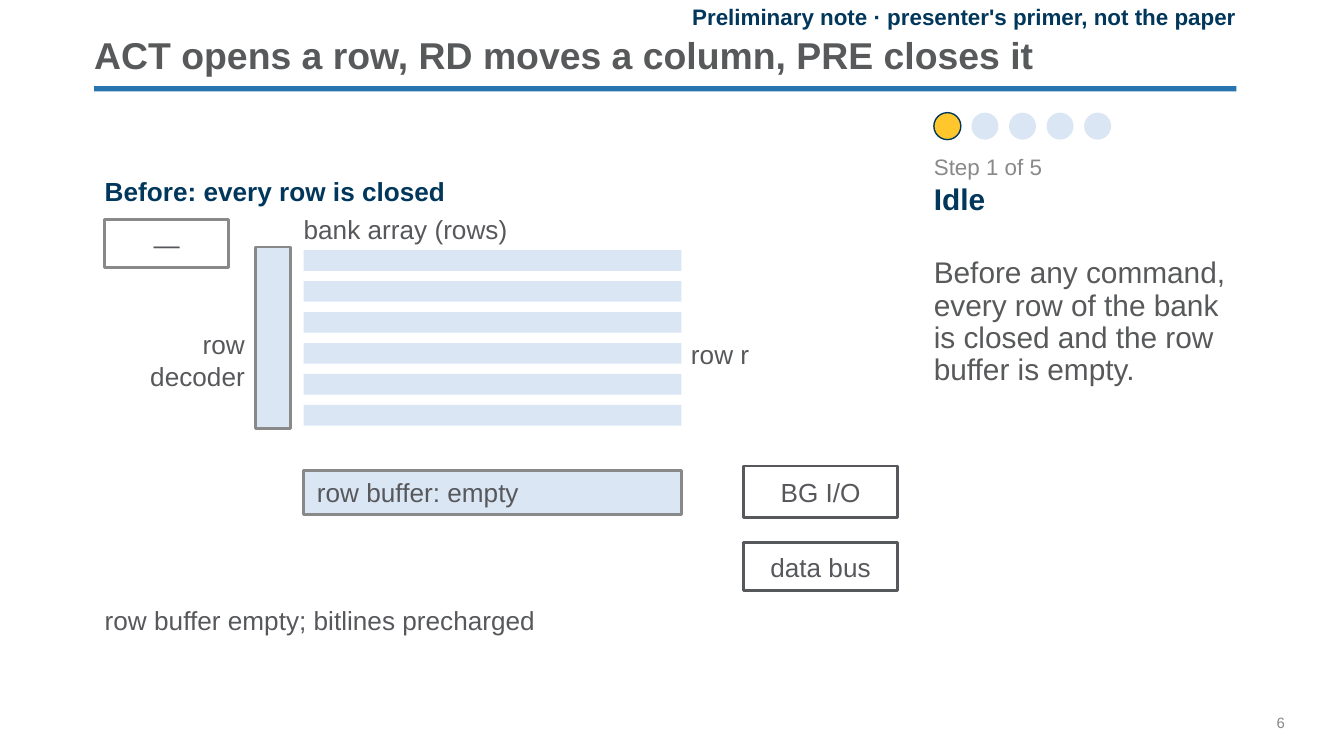
"""Builds the slide on how a memory bank row is opened, read and closed."""
from pptx import Presentation
from pptx.dml.color import RGBColor
from pptx.enum.shapes import MSO_SHAPE
from pptx.enum.text import MSO_ANCHOR, MSO_AUTO_SIZE, PP_ALIGN
from pptx.util import Cm, Pt

RECTANGLE, OVAL = MSO_SHAPE.RECTANGLE, MSO_SHAPE.OVAL
LEFT, CENTER, RIGHT = PP_ALIGN.LEFT, PP_ALIGN.CENTER, PP_ALIGN.RIGHT
TOP, MIDDLE, BOTTOM = MSO_ANCHOR.TOP, MSO_ANCHOR.MIDDLE, MSO_ANCHOR.BOTTOM
NO_AUTO_SIZE = MSO_AUTO_SIZE.NONE

COLORS = {
    "title": "58595B",
    "text": "57585B",
    "navy": "00375B",
    "blue": "2774AE",
    "pale": "DAE6F4",
    "gold": "FFC72B",
    "gray": "898989",
    "white": "FFFFFF",
}


def color(name):
    return RGBColor.from_string(COLORS[name])


def write(frame, text, size=14, ink="text", bold=False, align=LEFT,
          anchor=MIDDLE, spacing=None, inset=0, more=False):
    frame.word_wrap = True
    frame.auto_size = NO_AUTO_SIZE
    frame.vertical_anchor = anchor
    frame.margin_left = Cm(inset)
    frame.margin_right = frame.margin_top = frame.margin_bottom = 0
    for index, line in enumerate(text.split("\n")):
        first = index == 0 and not more
        paragraph = frame.paragraphs[0] if first else frame.add_paragraph()
        paragraph.alignment = align
        paragraph.space_before = Pt(0)
        if spacing:
            paragraph.line_spacing = spacing
        run = paragraph.add_run()
        run.text = line
        run.font.name = "Arial"
        run.font.size = Pt(size)
        run.font.bold = bold
        run.font.color.rgb = color(ink)


class SlideBuilder:
    """Holds the style and the current slide."""

    def __init__(self, presentation):
        self.slide = presentation.slides.add_slide(presentation.slide_layouts[5])
        self.line_width = 1.5

    def title(self, text, left, top, width, height):
        title = self.slide.shapes.title
        title.left, title.top = Cm(left), Cm(top)
        title.width, title.height = Cm(width), Cm(height)
        write(title.text_frame, text, size=20, ink="title", bold=True,
              anchor=BOTTOM, spacing=0.9)

    def label(self, text, left, top, width, height=0.74, **text_format):
        box = self.slide.shapes.add_textbox(Cm(left), Cm(top), Cm(width), Cm(height))
        write(box.text_frame, text, **text_format)
        return box.text_frame

    def shape(self, left, top, width, height, fill="pale", line=None,
              line_width=None, kind=RECTANGLE):
        shape = self.slide.shapes.add_shape(
            kind, Cm(left), Cm(top), Cm(width), Cm(height))
        shape.shadow.inherit = False
        shape.fill.solid()
        shape.fill.fore_color.rgb = color(fill)
        if line:
            shape.line.color.rgb = color(line)
            shape.line.width = Pt(line_width or self.line_width)
        else:
            shape.line.fill.background()
        return shape

    def box(self, text, left, top, width, height, fill="white", line="text",
            **text_format):
        shape = self.shape(left, top, width, height, fill, line)
        write(shape.text_frame, text, **text_format)

    def step_dots(self, left, top, count, current):
        for index in range(count):
            active = index == current
            self.shape(left + 0.71 * index, top, 0.51, 0.51,
                       fill="gold" if active else "pale",
                       line="navy" if active else None,
                       line_width=0.75, kind=OVAL)

    def bank_rows(self, left, top, width, height, count):
        for index in range(count):
            self.shape(left, top + 1.5 * height * index, width, height)


def main():
    presentation = Presentation()
    presentation.slide_width = Cm(25.4)
    presentation.slide_height = Cm(14.29)
    builder = SlideBuilder(presentation)

    margin, content_width = 1.78, 21.59
    builder.shape(margin, 1.63, content_width, 0.1, fill="blue")
    builder.label("Preliminary note · presenter's primer, not the paper",
                  10.67, 0.1, 12.7, 0.43, size=12, ink="navy", bold=True, align=RIGHT)
    builder.title("ACT opens a row, RD moves a column, PRE closes it",
                  margin, 0.56, content_width, 0.91)

    side_left, side_width = 17.65, 5.72
    builder.step_dots(side_left, 2.13, count=5, current=0)
    step = builder.label("Step 1 of 5", side_left, 2.9, side_width, 1.83,
                         size=12, ink="gray", anchor=TOP)
    write(step, "Idle", size=16, ink="navy", bold=True, anchor=TOP, more=True)
    builder.label("Before any command, every row of the bank is closed "
                  "and the row buffer is empty.", side_left, 4.88, side_width, 8.33,
                  size=16, ink="title", anchor=TOP, spacing=0.9)

    diagram_left, bank_left, bank_width = 1.98, 5.74, 7.14
    builder.label("Before: every row is closed", diagram_left, 3.25, 7.9,
                  ink="navy", bold=True)
    builder.box("—", diagram_left, 4.15, 2.34, 0.91, line="gray", align=CENTER)
    builder.label("row\ndecoder", 2.36, 6.15, 2.27, 1.32, align=RIGHT)
    builder.shape(4.83, 4.67, 0.66, 3.43, line="gray")
    builder.label("bank array (rows)", bank_left, 3.96, 5.08)
    builder.bank_rows(bank_left, 4.73, bank_width, 0.39, count=6)
    builder.label("row r", 13.06, 6.32, 1.7)
    builder.box("row buffer: empty", bank_left, 8.89, bank_width, 0.84,
                fill="pale", line="gray", inset=0.25)
    builder.box("BG I/O", 14.05, 8.81, 2.92, 0.97, align=CENTER)
    builder.box("data bus", 14.05, 10.26, 2.92, 0.91, align=CENTER)
    builder.label("row buffer empty; bitlines precharged", diagram_left, 11.35, 10.72)
    builder.label("6", 24.13, 13.49, 1.27, 0.36, size=8, ink="gray", anchor=TOP)

    presentation.save("out.pptx")


if __name__ == "__main__":
    main()
